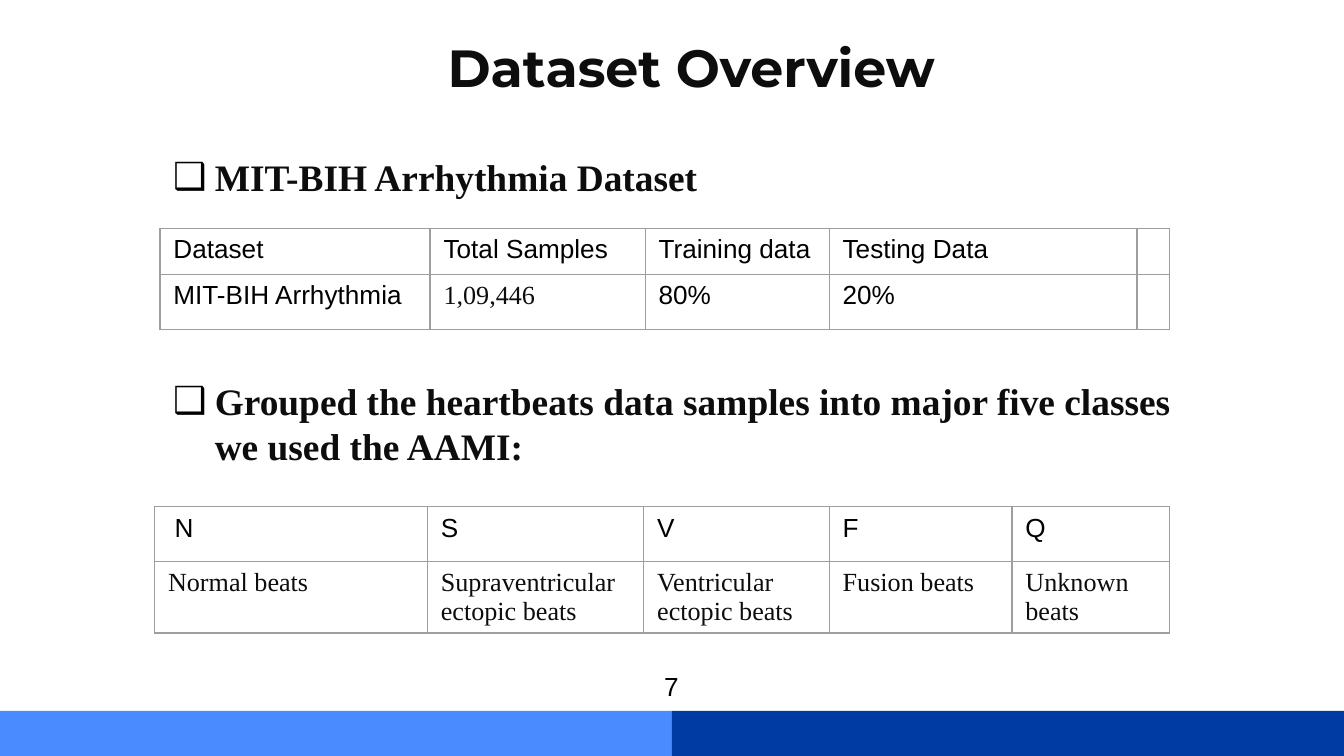
from dataclasses import dataclass

from lxml import etree
from pptx import Presentation
from pptx.dml.color import RGBColor
from pptx.enum.shapes import MSO_SHAPE
from pptx.enum.text import MSO_ANCHOR, PP_ALIGN
from pptx.oxml.ns import qn
from pptx.util import Inches, Pt

RECT = MSO_SHAPE.RECTANGLE
LEFT, CENTER = PP_ALIGN.LEFT, PP_ALIGN.CENTER
TOP, MIDDLE, BOTTOM = MSO_ANCHOR.TOP, MSO_ANCHOR.MIDDLE, MSO_ANCHOR.BOTTOM


@dataclass(frozen=True)
class Theme:
    heading: str = "Montserrat"
    sans: str = "Arial"
    serif: str = "Times New Roman"
    ink: str = "0D0D0D"
    black: str = "000000"
    white: str = "FFFFFF"
    border: str = "9E9E9E"
    light_blue: str = "4A8CFF"
    dark_blue: str = "003BA3"
    title_pt: int = 28
    bullet_pt: int = 20
    body_pt: int = 14


class SlideBuilder:
    def __init__(self, slide, theme):
        self.s, self.theme = slide, theme

    def format(self, p, font, size, color, bold=False):
        for r in p.runs:
            r.font.name, r.font.size, r.font.bold = font, Pt(size), bold
            r.font.color.rgb = RGBColor.from_string(color)

    def title(self, text, x, y, w, h):
        t, sp = self.theme, self.s.shapes.title
        sp.left, sp.top, sp.width, sp.height = map(Inches, (x, y, w, h))
        tf = sp.text_frame
        tf.text = text
        tf.vertical_anchor = BOTTOM
        tf.margin_left = Inches(0.32)
        tf.margin_right = tf.margin_top = tf.margin_bottom = Inches(0.1)
        p = tf.paragraphs[0]
        p.alignment = LEFT
        self.format(p, t.heading, t.title_pt, t.ink, bold=True)

    def bar(self, color, x, y, w, h):
        sp = self.s.shapes.add_shape(RECT, *map(Inches, (x, y, w, h)))
        sp.shadow.inherit = False
        sp.fill.solid()
        sp.fill.fore_color.rgb = RGBColor.from_string(color)
        sp.line.fill.background()
        return sp

    def page_number(self, number, x, y, w, h):
        t = self.theme
        sp = self.bar(t.white, x, y, w, h)
        sp.line.color.rgb = RGBColor.from_string(t.white)
        sp.line.width = Pt(2)
        tf = sp.text_frame
        tf.text = str(number)
        tf.vertical_anchor = MIDDLE
        tf.paragraphs[0].alignment = CENTER
        self.format(tf.paragraphs[0], t.sans, t.body_pt, t.black)

    def bullets(self, lines, x, y, w, h, gap):
        t = self.theme
        tf = self.s.shapes.add_textbox(*map(Inches, (x, y, w, h))).text_frame
        tf.word_wrap = True
        tf.margin_left = tf.margin_right = Inches(0.1)
        tf.margin_top = tf.margin_bottom = Inches(0.1)
        tf.text = "\n".join(lines)
        for i, p in enumerate(tf.paragraphs):
            p.line_spacing = Pt(24)
            p.space_before = Pt(gap if i else 0)
            self.format(p, t.serif, t.bullet_pt, t.ink, bold=True)
            # Hanging box bullet
            pPr = p._p.get_or_add_pPr()
            pPr.set("marL", str(Inches(0.31)))
            pPr.set("indent", str(-Inches(0.31)))
            color = etree.SubElement(pPr, qn("a:buClr"))
            etree.SubElement(color, qn("a:srgbClr"), val=t.black)
            etree.SubElement(pPr, qn("a:buFont"), typeface=t.sans)
            etree.SubElement(pPr, qn("a:buChar"), char="❑")

    def borders(self, cell):
        tcPr = cell._tc.get_or_add_tcPr()
        for i, side in enumerate(("lnL", "lnR", "lnT", "lnB")):
            ln = etree.Element(qn("a:" + side), w=str(Pt(0.75)))
            fill = etree.SubElement(ln, qn("a:solidFill"))
            etree.SubElement(fill, qn("a:srgbClr"), val=self.theme.border)
            tcPr.insert(i, ln)

    def table(self, rows, x, y, widths, heights, serif_cells):
        t = self.theme
        frame = self.s.shapes.add_table(
            len(rows), len(widths),
            *map(Inches, (x, y, sum(widths), sum(heights))))
        tbl = frame.table
        tbl.first_row = tbl.horz_banding = False
        for col, width in zip(tbl.columns, widths):
            col.width = Inches(width)
        for row, height in zip(tbl.rows, heights):
            row.height = Inches(height)
        for r, texts in enumerate(rows):
            for c, text in enumerate(texts):
                cell = tbl.cell(r, c)
                cell.fill.background()
                self.borders(cell)
                cell.vertical_anchor = TOP
                cell.margin_bottom = Inches(0.01)
                cell.text_frame.text = text
                p = cell.text_frame.paragraphs[0]
                if (r, c) in serif_cells:
                    self.format(p, t.serif, t.body_pt, t.ink)
                else:
                    self.format(p, t.sans, t.body_pt, t.black)
                if not text:  # keeps an empty cell from stretching its row
                    etree.SubElement(p._p, qn("a:endParaRPr"),
                                     sz=str(t.body_pt * 100))
        return tbl


def main():
    prs = Presentation()
    prs.slide_width = Inches(10)
    prs.slide_height = prs.slide_width * 9 // 16
    theme = Theme()
    b = SlideBuilder(prs.slides.add_slide(prs.slide_layouts[5]), theme)

    # Footer band
    for i, color in enumerate((theme.light_blue, theme.dark_blue)):
        b.bar(color, 5 * i, 5.29, 5, 0.34)

    # Title and section headings
    b.title("Dataset Overview", 3.01, 0, 5.84, 0.83)
    b.bullets(["MIT-BIH Arrhythmia Dataset",
               "Grouped the heartbeats data samples into major five classes "
               "we used the AAMI:"],
              1.19, 1.05, 7.8, 2.5, gap=96)

    # Heartbeat classes
    classes = {"N": "Normal beats", "S": "Supraventricular ectopic beats",
               "V": "Ventricular ectopic beats", "F": "Fusion beats",
               "Q": "Unknown beats"}
    tbl = b.table([list(classes), list(classes.values())],
                  1.15, 3.77, [2.03, 1.61, 1.38, 1.36, 1.17], [0.41, 0.53],
                  serif_cells={(1, c) for c in range(len(classes))})
    tbl.cell(0, 0).margin_left = Inches(0.15)

    # Dataset split
    b.table([["Dataset", "Total Samples", "Training data", "Testing Data", ""],
             ["MIT-BIH Arrhythmia", "1,09,446", "80%", "20%", ""]],
            1.19, 1.7, [2.01, 1.6, 1.37, 2.29, 0.23], [0.34, 0.41],
            serif_cells={(1, 1)})

    b.page_number(7, 4.54, 4.97, 0.91, 0.27)
    prs.save("out.pptx")


if __name__ == "__main__":
    main()
